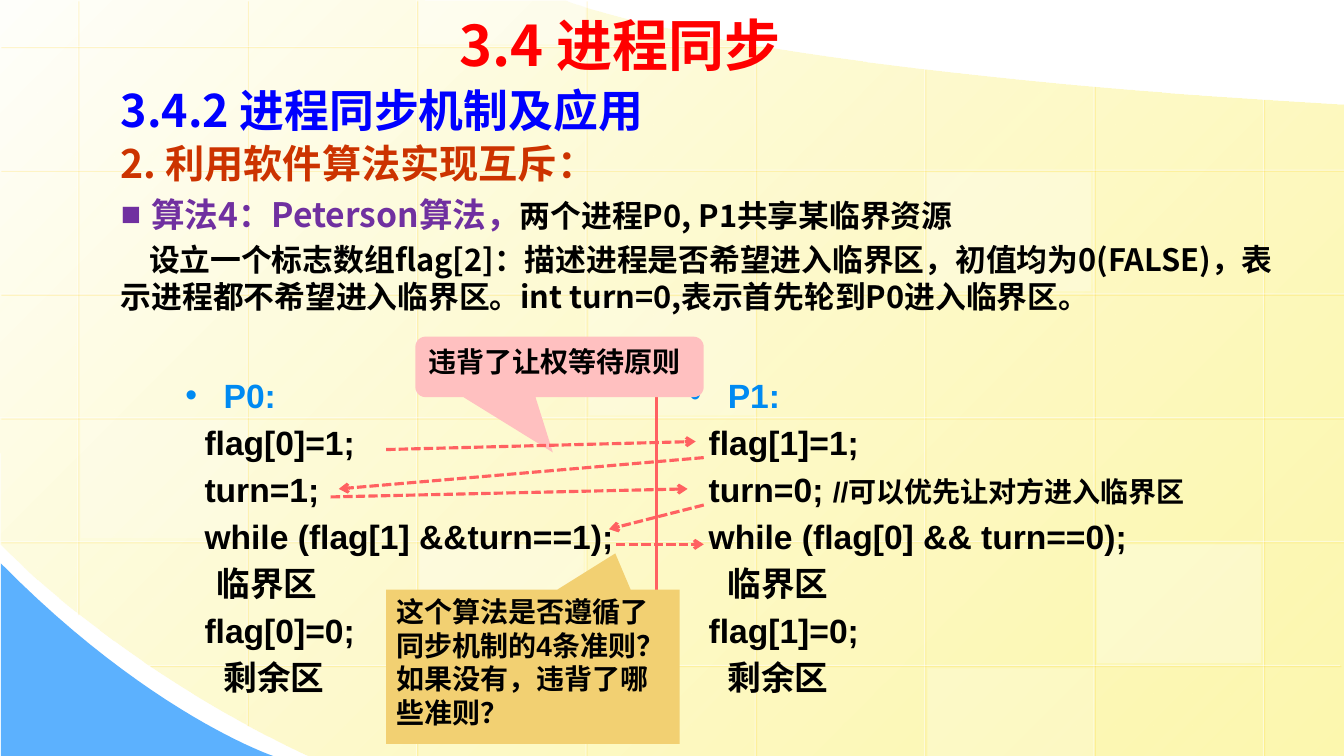
import dataclasses

import lxml.etree
import pptx
import pptx.dml.color
import pptx.enum.dml
import pptx.enum.shapes
import pptx.enum.text
import pptx.oxml.ns
import pptx.util

Inches, Pt = pptx.util.Inches, pptx.util.Pt
qn = pptx.oxml.ns.qn
rgb = pptx.dml.color.RGBColor.from_string
SHAPE = pptx.enum.shapes.MSO_SHAPE


@dataclasses.dataclass(frozen=True)
class Theme:
    cjk: str = "Noto Sans CJK SC"
    latin: str = "Arial"
    white: str = "FFFFFF"
    cream: str = "FFFFFB"
    yellow: str = "FDF58D"
    sky: str = "5CB1FE"
    glow: str = "FFCC00"
    red: str = "FF0000"
    blue: str = "0000FF"
    rust: str = "CC3300"
    purple: str = "7030A0"
    black: str = "000000"
    azure: str = "008AF2"
    coral: str = "FF6161"
    pink: str = "FFC0C0"
    gold: str = "F2D072"
    title: int = 40
    section: int = 32
    topic: int = 28
    code: int = 24
    body: int = 22
    note: int = 20


theme = Theme()
deck = pptx.Presentation()
deck.slide_width, deck.slide_height = Inches(13.33), Inches(7.5)
page = deck.slides.add_slide(deck.slide_layouts[5])


def write(para, runs, font, left=0, first=0, bullet=None, before=0, spacing=None):
    """Fill a paragraph with (text, size, colour) runs; left and first are indents in inches."""
    para.alignment = pptx.enum.text.PP_ALIGN.LEFT
    para.space_before = Pt(before)
    if spacing:
        para.line_spacing = spacing
    props = para._p.get_or_add_pPr()
    props.set("marL", str(Inches(left)))
    props.set("indent", str(Inches(first)))
    props.set("hangingPunct", "0")
    if bullet:
        lxml.etree.SubElement(props, qn("a:buFont")).set("typeface", theme.latin)
        lxml.etree.SubElement(props, qn("a:buChar")).set("char", bullet)
    else:
        lxml.etree.SubElement(props, qn("a:buNone"))
    for text, size, color in runs:
        span = para.add_run()
        span.text = text
        span.font.size, span.font.bold, span.font.name = Pt(size), True, font
        span.font.color.rgb = rgb(color)
        east = lxml.etree.SubElement(span.font._element, qn("a:ea"))
        east.set("typeface", theme.cjk)


def draw_line(x1, y1, x2, y2, color, width):
    """Add a straight line; return it with its empty effect list."""
    line = page.shapes.add_connector(
        pptx.enum.shapes.MSO_CONNECTOR.STRAIGHT,
        Inches(x1), Inches(y1), Inches(x2), Inches(y2))
    line.line.color.rgb = rgb(color)
    line.line.width = Pt(width)
    effects = lxml.etree.SubElement(line.element.spPr, qn("a:effectLst"))
    return line, effects


# Backdrop: each segment is a corner point or three Bezier control points
sheet = [[(13.34, 4.27), (13.34, 7.5), (13.34, 7.5)],
         [(13.34, 7.5), (8.2, 7.5), (3.07, 7.5)],
         [(1.15, 6.61), (-0.01, 5.39), (0, 5.39)],
         [(-0.01, -0.01)], [(5.61, 0.01)],
         [(5.61, 0.01), (7.15, 0.69), (13.33, 1.04)]]
corner = [[(0.01, 7.5)], [(2.71, 7.5)], [(2.71, 7.5), (1.49, 7.09), (0.01, 5.59)]]
backdrop = []
for start, segments in [((13.33, 1.04), sheet), ((0.01, 5.59), corner)]:
    points = [start]
    for segment in segments:
        if len(segment) == 1:
            points += segment
            continue
        controls = [points[-1], *segment]
        for step in range(1, 25):
            t = step / 24
            weights = [(1 - t) ** 3, 3 * t * (1 - t) ** 2, 3 * t * t * (1 - t), t ** 3]
            points.append(tuple(sum(w * c[axis] for w, c in zip(weights, controls))
                                for axis in (0, 1)))
    corners = [(Inches(x), Inches(y)) for x, y in points]
    builder = page.shapes.build_freeform(*corners[0])
    builder.add_line_segments(corners[1:], close=True)
    outline = builder.convert_to_shape()
    outline.shadow.inherit = False
    outline.line.fill.background()
    backdrop.append(outline)

yellow_sheet, blue_corner = backdrop
blue_corner.fill.solid()
blue_corner.fill.fore_color.rgb = rgb(theme.sky)
yellow_sheet.fill.gradient()
yellow_sheet.fill.gradient_angle = 315
for stop, color in zip(yellow_sheet.fill.gradient_stops, (theme.cream, theme.yellow)):
    stop.color.rgb = rgb(color)
end_color = list(yellow_sheet.element.iter(qn("a:srgbClr")))[-1]
lxml.etree.SubElement(end_color, qn("a:alpha")).set("val", "70000")

# Faint grid with a golden offset shadow
column_ends = [(0, 6.09), (0, 7.19), (0, 7.5), (0, 7.52),
               (0.43, 7.52), (0.68, 7.52), (0.85, 7.52), (0.98, 7.52)]
row_ends = [(7.57, 0), (13.35, 0), (13.35, 0), (13.35, 0), (13.35, 0), (13.29, 1.48)]
grid = [(0.77 + 1.68 * i, top, 0.77 + 1.68 * i, bottom)
        for i, (top, bottom) in enumerate(column_ends)]
grid += [(right, 0.46 + 1.228 * i, left, 0.46 + 1.228 * i)
         for i, (right, left) in enumerate(row_ends)]
for ends in grid:
    line, effects = draw_line(*ends, theme.white, 0.75)
    line_color = line.element.spPr.find(".//" + qn("a:srgbClr"))
    lxml.etree.SubElement(line_color, qn("a:alpha")).set("val", "50000")
    shadow = lxml.etree.SubElement(effects, qn("a:outerShdw"), dist=str(Pt(1.4)), dir="2700000")
    shadow_color = lxml.etree.SubElement(shadow, qn("a:srgbClr"), val=theme.glow)
    lxml.etree.SubElement(shadow_color, qn("a:alpha")).set("val", "34000")

for left, top, width, height, opacity in [
        (5.84, 2.94, 1.65, 1.18, 25), (10.88, 5.4, 1.63, 1.18, 30),
        (0.8, 4.16, 1.65, 1.18, 20), (9.2, 6.63, 1.65, 0.87, 20),
        (4.15, 0, 1.65, 0.44, 40), (4.16, 5.4, 1.63, 1.18, 30),
        (9.19, 1.71, 1.63, 1.18, 30)]:
    tile = page.shapes.add_shape(SHAPE.RECTANGLE, Inches(left), Inches(top),
                                 Inches(width), Inches(height))
    tile.shadow.inherit = False
    tile.line.fill.background()
    tile.fill.solid()
    tile.fill.fore_color.rgb = rgb(theme.white)
    tile_color = tile.element.spPr.find(".//" + qn("a:srgbClr"))
    lxml.etree.SubElement(tile_color, qn("a:alpha")).set("val", str(opacity * 1000))

# Title, raised above the backdrop
title = page.shapes.title
title.element.getparent().append(title.element)
title.left, title.top, title.width, title.height = (
    Inches(4.46), Inches(0.05), Inches(4.02), Inches(0.78))
title.text_frame.vertical_anchor = pptx.enum.text.MSO_ANCHOR.MIDDLE
write(title.text_frame.paragraphs[0], [("3.4 进程同步", theme.title, theme.red)], theme.cjk)

# Introduction
box = page.shapes.add_textbox(Inches(1.1), Inches(0.83), Inches(11.63), Inches(2.56))
frame = box.text_frame
frame.word_wrap = True
write(frame.paragraphs[0], [("3.4.2 进程同步机制及应用", theme.section, theme.blue)],
      theme.cjk, spacing=0.9)
write(frame.add_paragraph(), [("2. 利用软件算法实现互斥：", theme.topic, theme.rust)],
      theme.cjk, before=5.6, spacing=0.9)
write(frame.add_paragraph(),
      [("算法4：Peterson算法，", theme.code, theme.purple),
       ("两个进程P0, P1共享某临界资源", theme.body, theme.black)],
      theme.cjk, left=0.3, first=-0.3, bullet="■", before=4.8)
write(frame.add_paragraph(),
      [("设立一个标志数组flag[2]：描述进程是否希望进入临界区，初值均为0(FALSE)，"
        "表示进程都不希望进入临界区。int turn=0,表示首先轮到P0进入临界区。",
        theme.body, theme.black)], theme.cjk, first=0.28, before=4.4)

draw_line(6.51, 3.55, 6.51, 7.37, theme.coral, 2.25)

# The two processes: (indent, text, comment) per line
processes = [
    (1.74, 4.66, "P0:", [(0.19, "flag[0]=1;", ""), (0.19, "turn=1;", ""),
                         (0.19, "while (flag[1] &&turn==1);", ""), (0.31, "临界区", ""),
                         (0.19, "flag[0]=0;", ""), (0.38, "剩余区", "")]),
    (6.74, 5.67, "P1:", [(0.19, "flag[1]=1;", ""),
                         (0.19, "turn=0; ", "//可以优先让对方进入临界区"),
                         (0.19, "while (flag[0] && turn==0);", ""), (0.38, "临界区", ""),
                         (0.19, "flag[1]=0;", ""), (0.38, "剩余区", "")])]
for left, width, name, steps in processes:
    box = page.shapes.add_textbox(Inches(left), Inches(3.67), Inches(width), Inches(3.23))
    frame = box.text_frame
    frame.word_wrap = True
    write(frame.paragraphs[0], [(name, theme.code, theme.azure)], theme.latin,
          left=0.38, first=-0.38, bullet="•")
    for indent, text, comment in steps:
        runs = [(text, theme.code, theme.black)]
        if comment:
            runs.append((comment, theme.note, theme.black))
        write(frame.add_paragraph(), runs, theme.latin, left=indent, before=4.8)

# Callouts, with the switches between processes over the first one
for kind, place, adjustments, color, text in [
        (SHAPE.ROUNDED_RECTANGULAR_CALLOUT, (4.12, 3.34, 2.86, 0.6), (-0.023, 1.415, 0.167),
         theme.pink, "违背了让权等待原则"),
        (SHAPE.RECTANGULAR_CALLOUT, (3.83, 5.85, 2.91, 1.53), (0.281, -0.735),
         theme.gold, "这个算法是否遵循了同步机制的4条准则？如果没有，违背了哪些准则？")]:
    callout = page.shapes.add_shape(kind, *map(Inches, place))
    for index, value in enumerate(adjustments):
        callout.adjustments[index] = value
    callout.shadow.inherit = False
    callout.line.fill.background()
    callout.fill.solid()
    callout.fill.fore_color.rgb = rgb(color)
    callout.text_frame.word_wrap = True
    callout.text_frame.vertical_anchor = pptx.enum.text.MSO_ANCHOR.TOP
    write(callout.text_frame.paragraphs[0], [(text, theme.note, theme.black)], theme.latin)

for ends in [(3.83, 4.46, 6.9, 4.38), (6.98, 4.54, 3.36, 4.85), (3.28, 4.93, 6.82, 4.85),
             (6.98, 5.01, 6.04, 5.25), (6.11, 5.4, 6.98, 5.4)]:
    switch, _ = draw_line(*ends, theme.coral, 2.25)
    switch.line.dash_style = pptx.enum.dml.MSO_LINE.SQUARE_DOT
    stroke = switch.element.spPr.find(qn("a:ln"))
    lxml.etree.SubElement(stroke, qn("a:tailEnd")).set("type", "arrow")

deck.save("out.pptx")
